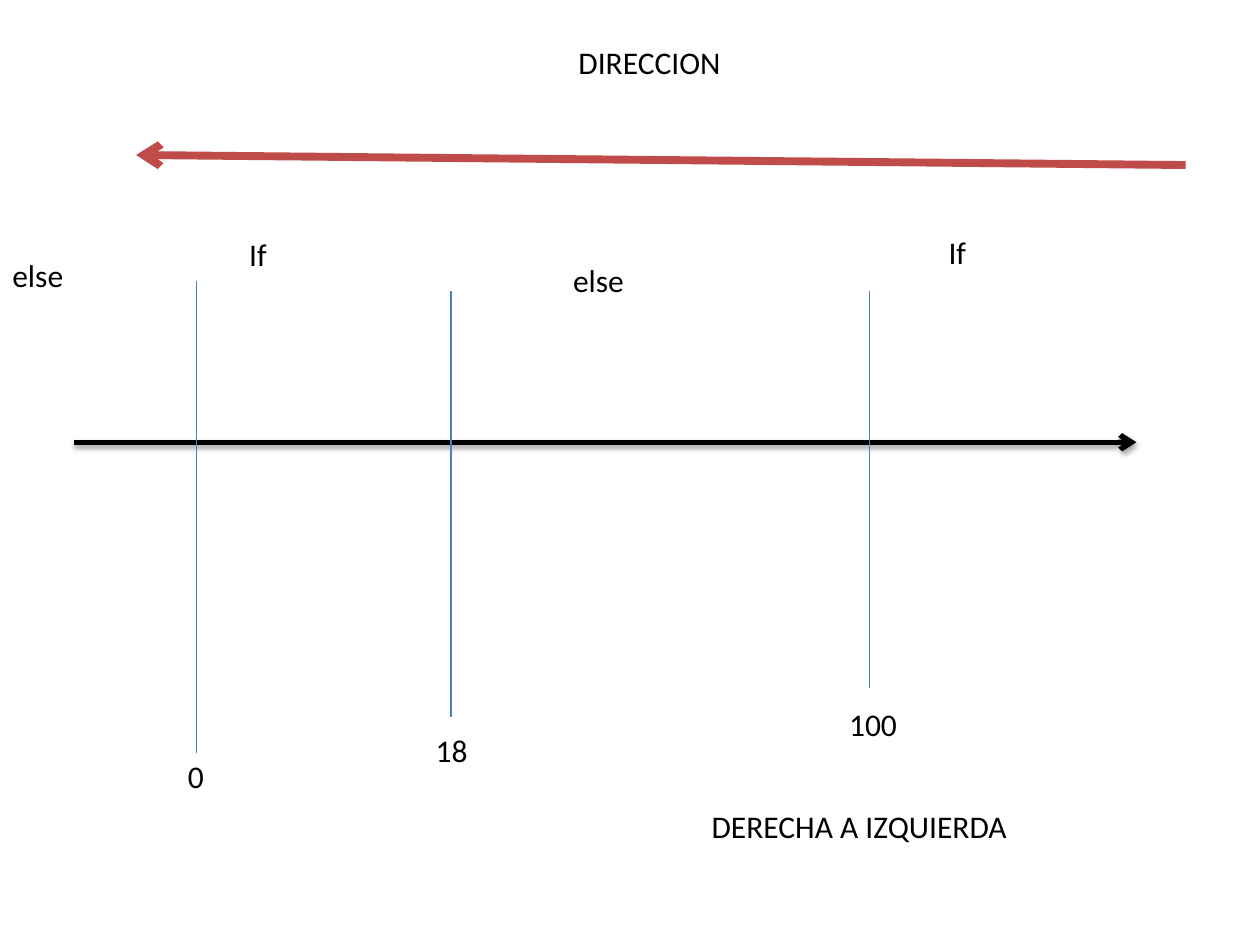
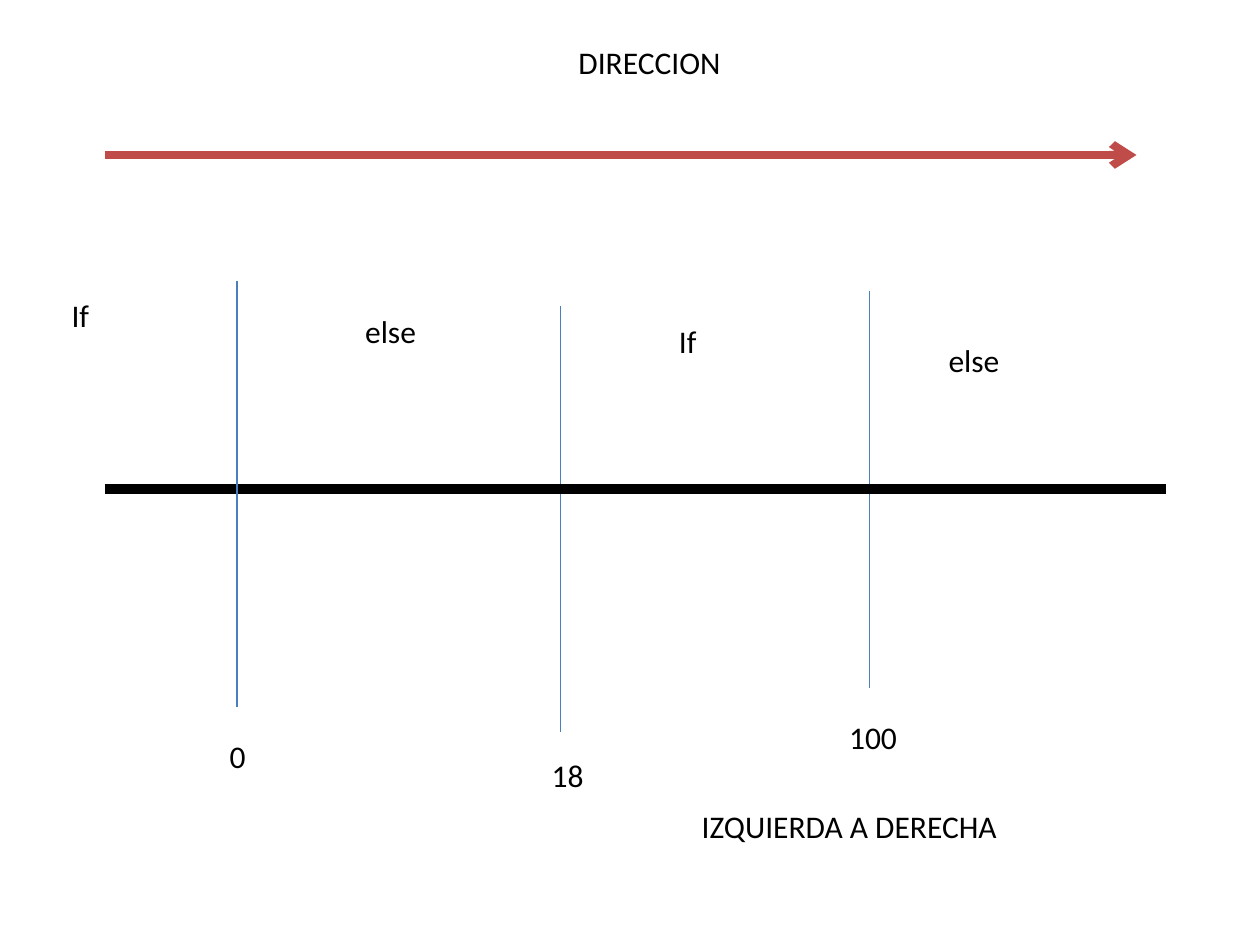
from lxml import etree
from pptx import Presentation
from pptx import util as u
from pptx.dml.color import RGBColor
from pptx.enum import shapes, text
from pptx.oxml.ns import qn

COLORS = {"ink": "000000", "boundary": "4B7EBC", "direction": "BF4C48"}
FONT = "Calibri"
LABEL_HEIGHT = 0.4
BRANCH_WIDTH = 1.34


def add_label(slide, wording, left, top, width, centered=False):
    label = slide.shapes.add_textbox(
        u.Inches(left), u.Inches(top), u.Inches(width), u.Inches(LABEL_HEIGHT))
    frame = label.text_frame
    frame.word_wrap = True
    frame.auto_size = text.MSO_AUTO_SIZE.SHAPE_TO_FIT_TEXT
    frame.text = wording
    paragraph = frame.paragraphs[0]
    paragraph.alignment = text.PP_ALIGN.CENTER if centered else text.PP_ALIGN.LEFT
    font = paragraph.runs[0].font
    font.name = FONT
    font.size = u.Pt(18)
    font.color.rgb = RGBColor.from_string(COLORS["ink"])


def add_shadow(effects):
    """Put a soft shadow, falling straight down, in an effect list."""
    shadow = etree.SubElement(
        effects, qn("a:outerShdw"), blurRad=str(u.Pt(3.1)), dist=str(u.Pt(1.8)),
        dir="5400000", rotWithShape="0")
    shade = etree.SubElement(shadow, qn("a:srgbClr"), val=COLORS["ink"])
    etree.SubElement(shade, qn("a:alpha"), val="35000")


def add_line(slide, start, end, color, weight, arrow=False, shadow=False):
    line = slide.shapes.add_connector(
        shapes.MSO_CONNECTOR.STRAIGHT, *map(u.Inches, (*start, *end)))
    line.line.color.rgb = RGBColor.from_string(COLORS[color])
    line.line.width = u.Pt(weight)
    properties = line._element.spPr
    if arrow:
        etree.SubElement(properties.find(qn("a:ln")), qn("a:tailEnd"), type="arrow")
    effects = etree.SubElement(properties, qn("a:effectLst"))
    if shadow:
        add_shadow(effects)


def add_boundary(slide, x, top, bottom):
    add_line(slide, (x, bottom), (x, top), "boundary", 0.75)


def add_direction(slide, start, end, caption, caption_left, caption_width):
    """Add the heading, the red arrow below it and the caption at the foot."""
    add_label(slide, "DIRECCION", 2.55, 0.29, 5.21, centered=True)
    add_line(slide, start, end, "direction", 4.5, arrow=True)
    add_label(slide, caption, caption_left, 6.36, caption_width)


def add_limits(slide, zero, eighteen, hundred_top):
    """Number the boundaries; zero and eighteen are (left, top) positions."""
    add_label(slide, "0", *zero, 0.95, centered=True)
    add_label(slide, "18", *eighteen, 0.95, centered=True)
    add_label(slide, "100", 6.64, hundred_top, 0.79)


def add_branches(slide, branches):
    for keyword, left, top in branches:
        add_label(slide, keyword, left, top, BRANCH_WIDTH)


def build_right_to_left(slide):
    add_line(slide, (0.59, 3.51), (9.02, 3.51), "ink", 3, arrow=True, shadow=True)
    for x, top, bottom in [(3.58, 2.31, 5.69), (6.9, 2.31, 5.46), (1.56, 2.23, 5.98)]:
        add_boundary(slide, x, top, bottom)
    add_limits(slide, (1.08, 5.96), (3.11, 5.75), 5.55)
    add_branches(slide, [("else", 0, 1.98), ("If", 1.88, 1.82),
                         ("else", 4.45, 2.02), ("If", 7.43, 1.8)])
    add_direction(slide, (9.41, 1.31), (1.08, 1.23), "DERECHA A IZQUIERDA", 5.55, 3.86)


def build_left_to_right(slide):
    add_boundary(slide, 4.45, 2.43, 5.81)
    add_boundary(slide, 6.9, 2.31, 5.46)
    add_line(slide, (0.83, 3.88), (9.25, 3.88), "ink", 6)
    add_boundary(slide, 1.88, 2.23, 5.61)
    add_limits(slide, (1.41, 5.8), (4.03, 5.95), 5.65)
    add_branches(slide, [("If", 0.47, 2.3), ("else", 2.8, 2.43),
                         ("If", 5.29, 2.51), ("else", 7.43, 2.66)])
    add_direction(slide, (0.83, 1.23), (9.02, 1.23), "IZQUIERDA A DERECHA", 5.47, 3.78)


def main():
    deck = Presentation()
    deck.slide_width, deck.slide_height = u.Inches(10), u.Inches(7.5)
    blank = deck.slide_layouts[6]
    for build in (build_right_to_left, build_left_to_right):
        build(deck.slides.add_slide(blank))
    deck.save("out.pptx")


if __name__ == "__main__":
    main()
